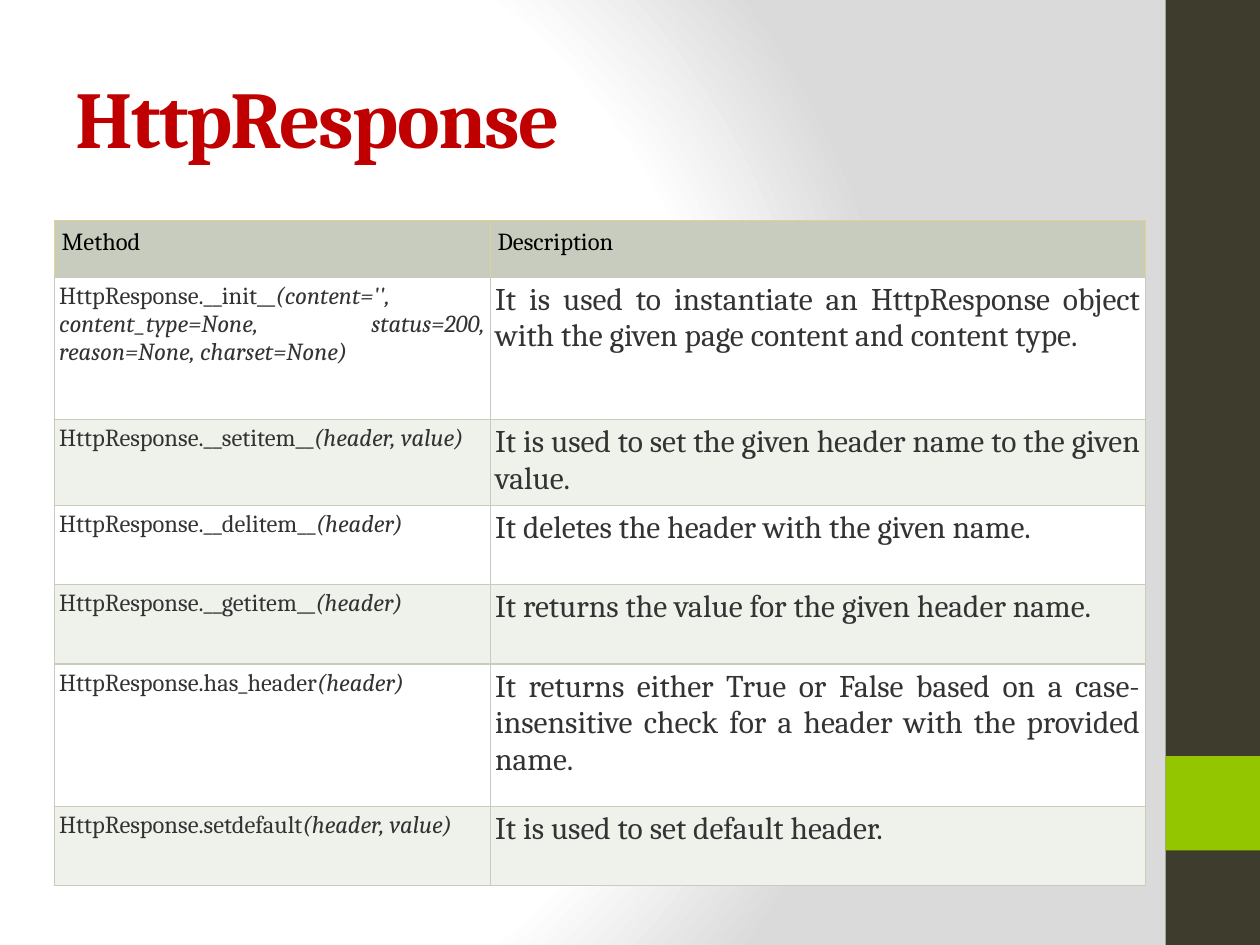
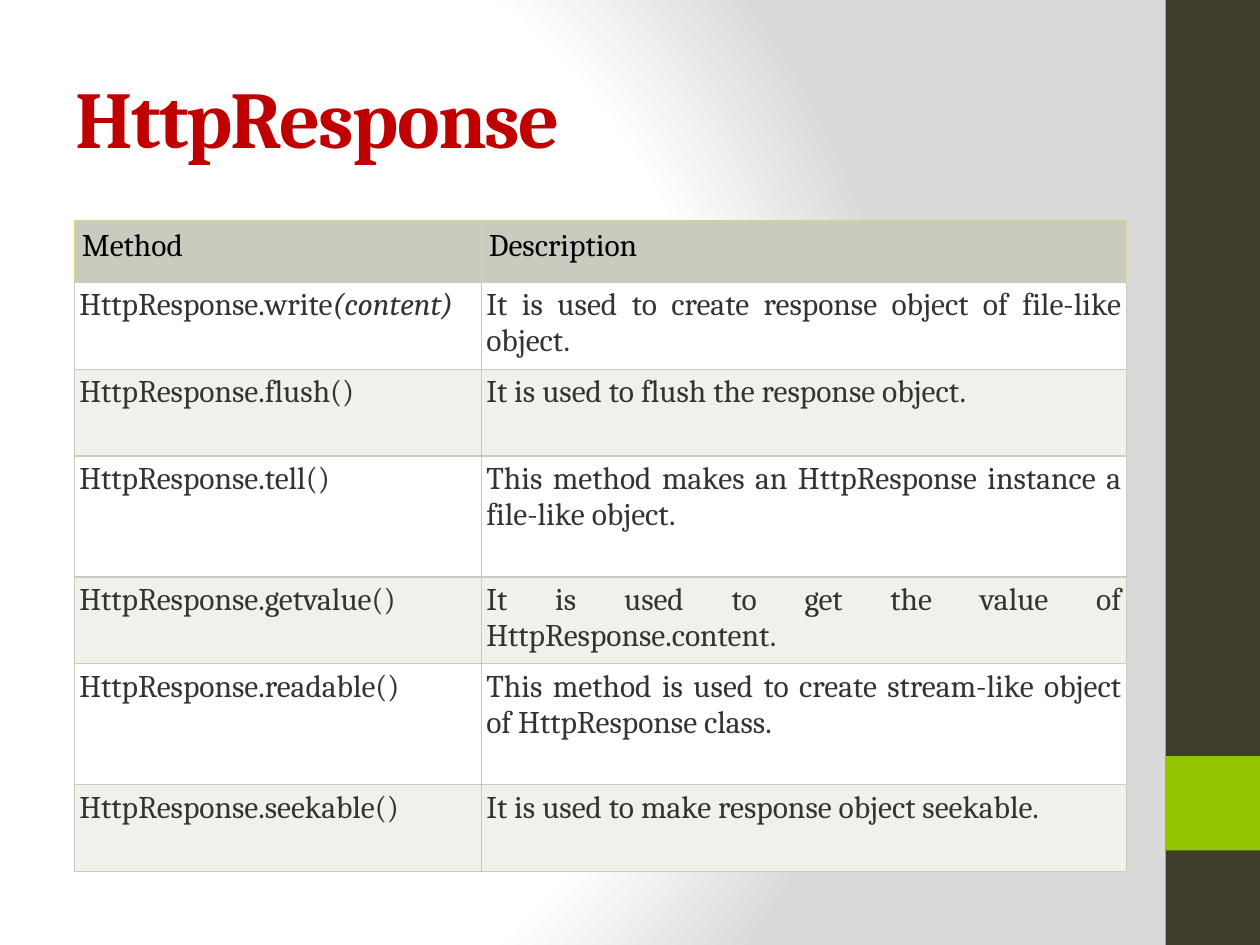
from pptx import Presentation
from pptx.dml.color import RGBColor
from pptx.enum.shapes import MSO_SHAPE
from pptx.enum.text import MSO_ANCHOR, PP_ALIGN
from pptx.oxml import parse_xml
from pptx.oxml.ns import nsdecls
from pptx.util import Inches, Pt

FONT = "Cambria"
WHITE = RGBColor(0xFF, 0xFF, 0xFF)
BLACK = RGBColor(0x00, 0x00, 0x00)
BACKDROP_GRAY = RGBColor(0xDA, 0xDA, 0xDA)
BAND_DARK = RGBColor(0x3E, 0x3D, 0x2D)
BAND_GREEN = RGBColor(0x94, 0xC6, 0x00)
TITLE_RED = RGBColor(0xC0, 0x00, 0x00)
BODY_GRAY = RGBColor(0x33, 0x33, 0x33)
HEADER_FILL = RGBColor(0xC7, 0xCC, 0xBE)
STRIPE_FILL = RGBColor(0xEF, 0xF1, 0xEB)
HEADER_EDGE = RGBColor(0xE0, 0xD2, 0x8F)

HEADER = ("Method", "Description")
# Each row: method, italic arguments, description
CORE_METHODS = [
    ("HttpResponse.__init__",
     "(content='', content_type=None, status=200, reason=None, charset=None)",
     "It is used to instantiate an HttpResponse object with the given page content and content type."),
    ("HttpResponse.__setitem__", "(header, value)",
     "It is used to set the given header name to the given value."),
    ("HttpResponse.__delitem__", "(header)", "It deletes the header with the given name."),
    ("HttpResponse.__getitem__", "(header)", "It returns the value for the given header name."),
    ("HttpResponse.has_header", "(header)",
     "It returns either True or False based on a case-insensitive check "
     "for a header with the provided name."),
    ("HttpResponse.setdefault", "(header, value)", "It is used to set default header."),
]
STREAM_METHODS = [
    ("HttpResponse.write", "(content)", "It is used to create response object of file-like object."),
    ("HttpResponse.flush()", "", "It is used to flush the response object."),
    ("HttpResponse.tell()", "", "This method makes an HttpResponse instance a file-like object."),
    ("HttpResponse.getvalue()", "", "It is used to get the value of HttpResponse.content."),
    ("HttpResponse.readable()", "",
     "This method is used to create stream-like object of HttpResponse class."),
    ("HttpResponse.seekable()", "", "It is used to make response object seekable."),
]


def set_backdrop(deck):
    """Give the slide master a circular gradient from white to gray."""
    fill = deck.slide_master.background.fill
    fill.solid()
    stops = "".join(
        f'<a:gs pos="{position * 1000}"><a:srgbClr val="{color}"/></a:gs>'
        for position, color in ((0, WHITE), (75, WHITE), (100, BACKDROP_GRAY)))
    gradient = parse_xml(
        f'<a:gradFill {nsdecls("a")} rotWithShape="1"><a:gsLst>{stops}</a:gsLst>'
        '<a:path path="circle"><a:fillToRect l="20000" t="50000" r="100000" b="50000"/>'
        '</a:path></a:gradFill>')
    properties = deck.slide_master.element.cSld.bg.bgPr
    properties.replace(properties[0], gradient)


def add_band(slide, top, height, color):
    band = slide.shapes.add_shape(
        MSO_SHAPE.RECTANGLE, Inches(9.25), Inches(top), Inches(0.75), Inches(height))
    band.shadow.inherit = False
    band.fill.solid()
    band.fill.fore_color.rgb = color
    band.line.fill.background()


def format_span(span, size, color, bold=False, italic=False):
    font = span.font
    font.name, font.size = FONT, Pt(size)
    font.bold, font.italic = bold, italic
    font.color.rgb = color


def add_title(slide, text):
    box = slide.shapes.add_textbox(Inches(0.5), Inches(0.3), Inches(8.33), Inches(1.25))
    frame = box.text_frame
    frame.word_wrap = True
    frame.vertical_anchor = MSO_ANCHOR.MIDDLE
    frame.text = text
    span = frame.paragraphs[0].runs[0]
    format_span(span, 46, TITLE_RED, bold=True)
    span.font._element.set("spc", "-100")


def add_page(deck, title):
    page = deck.slides.add_slide(deck.slide_layouts[6])
    add_band(page, 0, 7.5, BAND_DARK)
    add_band(page, 6, 0.75, BAND_GREEN)
    add_title(page, title)
    return page


def style_cell(cell, fill, edge, inset):
    """Set the insets, the borders and then the fill, in schema order."""
    cell.margin_left = cell.margin_right = Inches(inset)
    cell.margin_top = cell.margin_bottom = Inches(inset)
    properties = cell._tc.get_or_add_tcPr()
    for side, color in zip("LRTB", (edge, edge, edge, HEADER_FILL)):
        properties.append(parse_xml(
            f'<a:ln{side} {nsdecls("a")} w="{Pt(0.75)}"><a:solidFill>'
            f'<a:srgbClr val="{color}"/></a:solidFill></a:ln{side}>'))
    cell.fill.solid()
    cell.fill.fore_color.rgb = fill


def fill_body_cell(cell, text, size, fill, arguments=""):
    style_cell(cell, fill, HEADER_FILL, 0.04)
    para = cell.text_frame.paragraphs[0]
    para.text = text
    para.alignment = PP_ALIGN.JUSTIFY
    format_span(para.runs[0], size, BODY_GRAY)
    if arguments:
        span = para.add_run()
        span.text = arguments
        format_span(span, size, BODY_GRAY, italic=True)


def add_method_table(slide, left, widths, heights, methods, method_size):
    table = slide.shapes.add_table(
        len(heights), len(widths), Inches(left), Inches(1.75),
        Inches(sum(widths)), Inches(sum(heights))).table
    table.first_row = table.horz_banding = False
    for column, width in zip(table.columns, widths):
        column.width = Inches(width)
    for row, height in zip(table.rows, heights):
        row.height = Inches(height)
    for cell, label in zip(table.rows[0].cells, HEADER):
        style_cell(cell, HEADER_FILL, HEADER_EDGE, 0.06)
        cell.text_frame.text = label
        format_span(cell.text_frame.paragraphs[0].runs[0], method_size, BLACK)
    for index, (method, arguments, description) in enumerate(methods, start=1):
        fill = WHITE if index % 2 else STRIPE_FILL
        fill_body_cell(table.cell(index, 0), method, method_size, fill, arguments)
        fill_body_cell(table.cell(index, 1), description, 18, fill)


def main():
    deck = Presentation()
    deck.slide_width, deck.slide_height = Inches(10), Inches(7.5)
    set_backdrop(deck)
    add_method_table(
        add_page(deck, "HttpResponse"), 0.43, (3.46, 5.2),
        (0.45, 1.13, 0.63, 0.63, 0.63, 1.13, 0.63), CORE_METHODS, method_size=14)
    add_method_table(
        add_page(deck, "HttpResponse"), 0.59, (3.23, 5.12),
        (0.49, 0.69, 0.69, 0.96, 0.69, 0.96, 0.69), STREAM_METHODS, method_size=18)
    deck.save("out.pptx")


if __name__ == "__main__":
    main()
